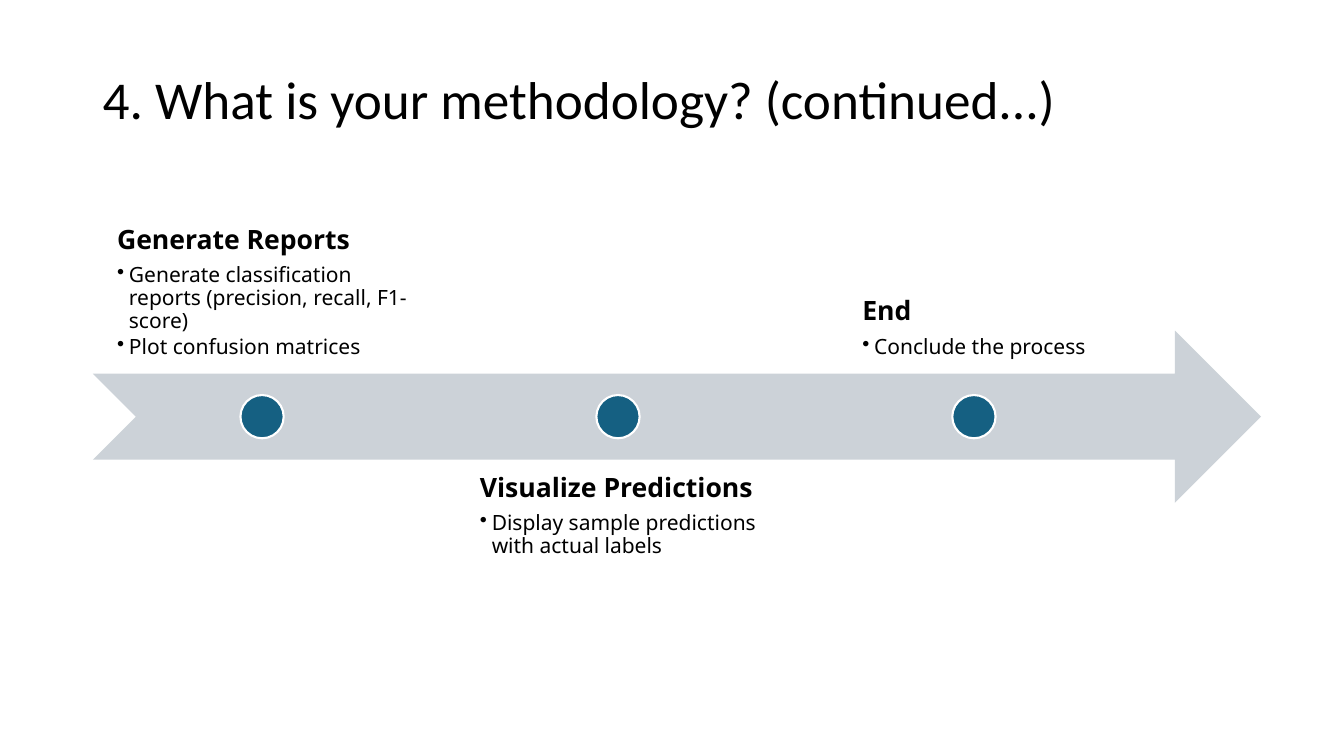
import dataclasses

import lxml.etree
import pptx
import pptx.dml.color
import pptx.enum.shapes
import pptx.enum.text
import pptx.oxml.ns
import pptx.util

Cm = pptx.util.Cm
Pt = pptx.util.Pt
Shape = pptx.enum.shapes.MSO_SHAPE
Anchor = pptx.enum.text.MSO_ANCHOR
qn = pptx.oxml.ns.qn


@dataclasses.dataclass(frozen=True)
class Theme:
    ink: str = "000000"
    band: str = "CCD2D8"
    dot: str = "156082"
    rim: str = "FFFFFF"
    title_font: str = "Calibri"
    body_font: str = "Noto Sans"
    title_size: int = 38
    head_size: int = 19
    item_size: int = 15


@dataclasses.dataclass(frozen=True)
class Step:
    head: str
    items: tuple[str, ...]


THEME = Theme()
STEPS = (
    Step("Generate Reports", (
        "Generate classification reports (precision, recall, F1-score)",
        "Plot confusion matrices",
    )),
    Step("Visualize Predictions", ("Display sample predictions with actual labels",)),
    Step("End", ("Conclude the process",)),
)

# Lengths in centimetres
LEFT = 2.34
BAND_TOP, BAND_WIDE, BAND_HIGH = 8.33, 29.44, 4.34
STEP_WIDE, STEP_PITCH = 8.53, 8.97
TOP_ABOVE, TOP_BELOW = 5.08, 11.58
DOT_SIZE = 1.09
INSET = 0.38
INDENT = 0.3


def color(code: str) -> pptx.dml.color.RGBColor:
    return pptx.dml.color.RGBColor.from_string(code)


def add_form(slide, kind, left: float, top: float, wide: float, high: float, fill: str):
    form = slide.shapes.add_shape(kind, Cm(left), Cm(top), Cm(wide), Cm(high))
    form.shadow.inherit = False
    form.fill.solid()
    form.fill.fore_color.rgb = color(fill)
    form.line.fill.background()
    return form


def add_box(slide, left: float, top: float, wide: float, high: float, anchor):
    box = slide.shapes.add_textbox(Cm(left), Cm(top), Cm(wide), Cm(high))
    box.text_frame.word_wrap = True
    box.text_frame.vertical_anchor = anchor
    return box


def style(para, font: str, size: int, bold: bool = False) -> None:
    para.line_spacing = 0.9
    for run in para.runs:
        run.font.name = font
        run.font.size = Pt(size)
        run.font.bold = bold
        run.font.color.rgb = color(THEME.ink)


def space_after(para, percent: int) -> None:
    """Set the space after a paragraph as a share of its line height."""
    after = lxml.etree.SubElement(para._p.get_or_add_pPr(), qn("a:spcAft"))
    lxml.etree.SubElement(after, qn("a:spcPct")).set("val", str(percent * 1000))


def add_bullet(para) -> None:
    para.level = 1
    props = para._p.get_or_add_pPr()
    props.set("marL", str(Cm(INDENT)))
    props.set("indent", str(-Cm(INDENT)))
    lxml.etree.SubElement(props, qn("a:buChar")).set("char", "•")


def add_title(slide, text: str) -> None:
    box = add_box(slide, LEFT, 1.02, 29.21, 2.41, Anchor.BOTTOM)
    box.text_frame.text = text
    style(box.text_frame.paragraphs[0], THEME.title_font, THEME.title_size)


def add_label(slide, step: Step, left: float, above: bool) -> None:
    """Write a step beside the arrow, its text block centred in the box."""
    top, anchor = (TOP_ABOVE, Anchor.BOTTOM) if above else (TOP_BELOW, Anchor.TOP)
    box = add_box(slide, left, top, STEP_WIDE, BAND_HIGH, anchor)
    box.element.txBody.bodyPr.set("anchorCtr", "1")
    frame = box.text_frame
    frame.margin_left = frame.margin_right = Cm(INSET)
    frame.margin_top = frame.margin_bottom = Cm(INSET)
    frame.text = step.head
    style(frame.paragraphs[0], THEME.body_font, THEME.head_size, bold=True)
    space_after(frame.paragraphs[0], 35)
    for item in step.items:
        para = frame.add_paragraph()
        para.text = item
        style(para, THEME.body_font, THEME.item_size)
        space_after(para, 15)
        add_bullet(para)


def add_dot(slide, left: float) -> None:
    side = left + (STEP_WIDE - DOT_SIZE) / 2
    top = BAND_TOP + (BAND_HIGH - DOT_SIZE) / 2
    dot = add_form(slide, Shape.OVAL, side, top, DOT_SIZE, DOT_SIZE, THEME.dot)
    dot.line.color.rgb = color(THEME.rim)
    dot.line.width = Pt(1.5)


def main() -> None:
    deck = pptx.Presentation()
    deck.slide_width, deck.slide_height = Cm(33.87), Cm(19.05)
    slide = deck.slides.add_slide(deck.slide_layouts[6])
    add_title(slide, "4. What is your methodology? (continued...)")
    add_form(slide, Shape.NOTCHED_RIGHT_ARROW, LEFT, BAND_TOP, BAND_WIDE, BAND_HIGH, THEME.band)
    for index, step in enumerate(STEPS):
        left = LEFT + index * STEP_PITCH
        add_label(slide, step, left, above=index % 2 == 0)
        add_dot(slide, left)
    deck.save("out.pptx")


if __name__ == "__main__":
    main()
